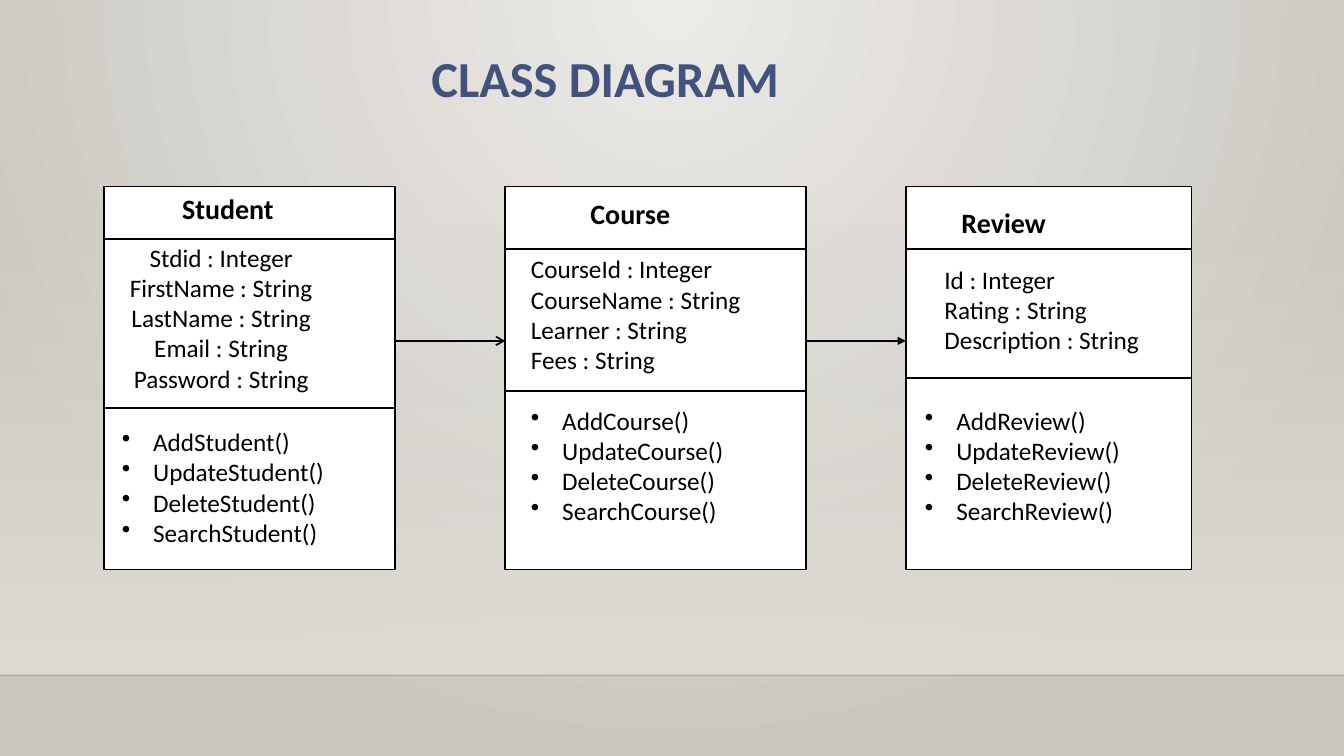
from dataclasses import dataclass

from lxml import etree
from pptx import Presentation
from pptx.dml.color import RGBColor
from pptx.enum.shapes import MSO_CONNECTOR, MSO_SHAPE
from pptx.enum.text import MSO_ANCHOR, MSO_AUTO_SIZE, PP_ALIGN
from pptx.oxml.ns import qn
from pptx.util import Cm, Pt

STRAIGHT = MSO_CONNECTOR.STRAIGHT
RECTANGLE, PROCESS = MSO_SHAPE.RECTANGLE, MSO_SHAPE.FLOWCHART_PROCESS
LEFT, CENTER = PP_ALIGN.LEFT, PP_ALIGN.CENTER
TOP, NO_AUTOFIT = MSO_ANCHOR.TOP, MSO_AUTO_SIZE.NONE


@dataclass(frozen=True)
class Theme:
    font: str = "Calibri"
    ink: RGBColor = RGBColor(0, 0, 0)
    floor_ink: RGBColor = RGBColor(0, 0, 1)
    paper: RGBColor = RGBColor(255, 255, 255)
    heading: RGBColor = RGBColor.from_string("42527C")
    glow: RGBColor = RGBColor.from_string("ECEAE7")
    edge: RGBColor = RGBColor.from_string("CAC7C1")
    wall: RGBColor = RGBColor.from_string("DFDBD5")
    title_size: Pt = Pt(36)
    name_size: Pt = Pt(20)
    member_size: Pt = Pt(18)
    stroke: Pt = Pt(1.25)


THEME = Theme()


def add_line(x1, y1, x2, y2, color=THEME.ink, width=THEME.stroke):
    line = slide.shapes.add_connector(STRAIGHT, Cm(x1), Cm(y1), Cm(x2), Cm(y2))
    line.line.color.rgb = color
    line.line.width = width
    etree.SubElement(line.element.spPr, qn("a:effectLst"))
    return line


def write(frame, lines, size, color=THEME.ink, bold=False, align=LEFT, bullets=False):
    """Fill a text frame with one evenly formatted paragraph per line."""
    frame.word_wrap = True
    frame.auto_size = NO_AUTOFIT
    frame.vertical_anchor = TOP
    frame.text = "\n".join(lines)
    for paragraph in frame.paragraphs:
        paragraph.alignment = align
        font = paragraph.font
        font.name, font.size, font.bold = THEME.font, size, bold
        font.color.rgb = color
        if bullets:
            properties = paragraph._p.get_or_add_pPr()
            properties.set("marL", str(Cm(0.79)))
            properties.set("indent", str(-Cm(0.79)))
            bullet = etree.Element(qn("a:buChar"), char="•")
            properties.insert_element_before(bullet, "a:tabLst", "a:defRPr", "a:extLst")


presentation = Presentation()
presentation.slide_width, presentation.slide_height = Cm(33.87), Cm(19.05)
slide = presentation.slides.add_slide(presentation.slide_layouts[5])

# Backdrop: a glow from the top centre, a wall and a floor edge
backdrop = slide.background.fill
backdrop.gradient()
for stop, color in zip(backdrop.gradient_stops, (THEME.glow, THEME.edge)):
    stop.color.rgb = color
glow = slide.element.find(".//" + qn("a:gradFill"))
glow.remove(glow.find(qn("a:lin")))
circle = etree.SubElement(glow, qn("a:path"), path="circle")
etree.SubElement(circle, qn("a:fillToRect"), l="43000", t="0", r="43000", b="100000")

FLOOR = 17.02
wall = slide.shapes.add_shape(RECTANGLE, 0, Cm(5.61), Cm(33.87), Cm(FLOOR - 5.61))
wall.shadow.inherit = False
wall.line.fill.background()
wall.fill.gradient()
wall.fill.gradient_angle = 270
for stop in wall.fill.gradient_stops:
    stop.color.rgb = THEME.wall
wall_top = wall.element.spPr.find(".//" + qn("a:srgbClr"))
etree.SubElement(wall_top, qn("a:alpha"), val="0")

floor_edge = add_line(0, FLOOR, 33.87, FLOOR, THEME.floor_ink, Pt(1))
edge_color = floor_edge.element.spPr.find(".//" + qn("a:srgbClr"))
etree.SubElement(edge_color, qn("a:alpha"), val="20000")

title = slide.shapes.title
title.left, title.top, title.width, title.height = Cm(10.62), Cm(1.07), Cm(15.8), Cm(1.8)
write(title.text_frame, ["CLASS DIAGRAM"], THEME.title_size, THEME.heading, bold=True)

# Class name, outline, left, width, divider heights, attribute alignment,
# text corners (name, attributes, methods), attributes
CLASSES = [
    ("Student", PROCESS, 2.62, 7.34, (6.02, 10.29), CENTER,
     ((4.34, 4.7), (2.21, 5.97), (2.82, 10.62)),
     ["Stdid : Integer", "FirstName : String", "LastName : String",
      "Email : String", "Password : String"]),
    ("Course", RECTANGLE, 12.73, 7.58, (6.27, 9.86), LEFT,
     ((14.63, 4.83), (13.13, 6.27), (13.13, 10.08)),
     ["CourseId : Integer", "CourseName : String", "Learner : String", "Fees : String"]),
    ("Review", RECTANGLE, 22.83, 7.2, (6.27, 9.53), LEFT,
     ((23.98, 5.05), (23.55, 6.53), (23.06, 10.08)),
     ["Id : Integer", "Rating : String", "Description : String"]),
]
ACTIONS = ("Add", "Update", "Delete", "Search")
CLASS_TOP, CLASS_HEIGHT = 4.7, 9.65
TEXT_WIDTH, LINE_HEIGHT, PADDING = 6.73, 0.76, 0.25

for name, outline, left, width, dividers, align, corners, attributes in CLASSES:
    box = slide.shapes.add_shape(outline, Cm(left), Cm(CLASS_TOP), Cm(width), Cm(CLASS_HEIGHT))
    box.shadow.inherit = False
    box.fill.solid()
    box.fill.fore_color.rgb = THEME.paper
    box.line.color.rgb = THEME.ink
    box.line.width = THEME.stroke
    for divider in dividers:
        add_line(left, divider, left + width, divider)

    methods = [f"{action}{name}()" for action in ACTIONS]
    sections = (
        ([name], dict(size=THEME.name_size, bold=True)),
        (attributes, dict(size=THEME.member_size, align=align)),
        (methods, dict(size=THEME.member_size, bullets=True)),
    )
    for (x, y), (lines, style) in zip(corners, sections):
        height = len(lines) * LINE_HEIGHT + 2 * PADDING
        section = slide.shapes.add_textbox(Cm(x), Cm(y), Cm(TEXT_WIDTH), Cm(height))
        write(section.text_frame, lines, **style)

# Each class points to the next one
ARROW_Y = 8.59
for source, target, head in zip(CLASSES, CLASSES[1:], ("arrow", "triangle")):
    arrow = add_line(source[2] + source[3], ARROW_Y, target[2], ARROW_Y)
    etree.SubElement(arrow.line._get_or_add_ln(), qn("a:tailEnd"), type=head)

presentation.save("out.pptx")
